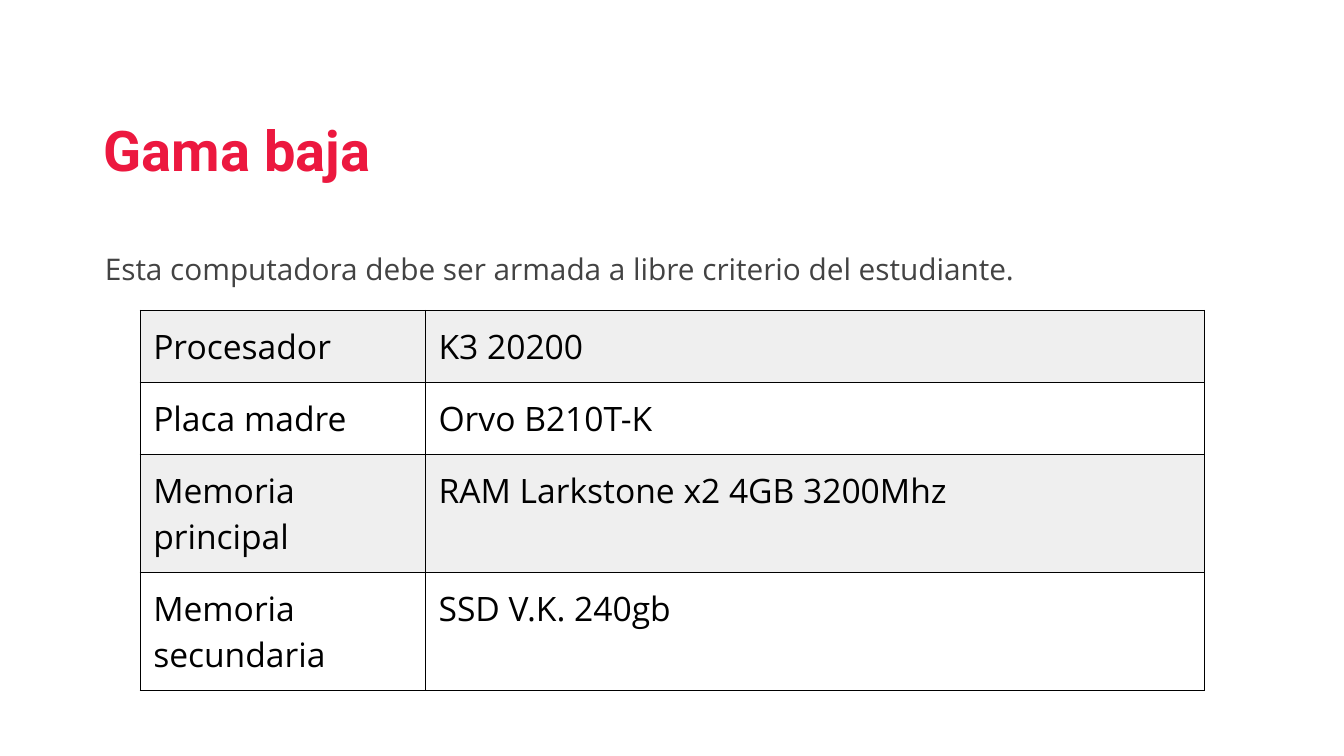
from lxml import etree
from pptx import Presentation
from pptx.dml.color import RGBColor
from pptx.enum import text
from pptx.oxml import ns
from pptx.util import Inches, Pt

THEME = {
    "red": "EC183F", "gray": "434343", "black": "000000", "band": "EFEFEF",
    "heading_font": "Roboto", "body_font": "Open Sans",
    "heading_size": 40, "intro_size": 21.3, "cell_size": 24, "border_size": 1,
}


def style(paragraph, font, size, color, bold=False):
    paragraph.font.name = THEME[font]
    paragraph.font.size = Pt(THEME[size])
    paragraph.font.color.rgb = RGBColor.from_string(THEME[color])
    paragraph.font.bold = bold


def set_margins(holder, horizontal, vertical):
    holder.margin_left = holder.margin_right = Inches(horizontal)
    holder.margin_top = holder.margin_bottom = Inches(vertical)


deck = Presentation()
deck.slide_width, deck.slide_height = Inches(13.33), Inches(7.5)
slide = deck.slides.add_slide(deck.slide_layouts[5])

heading = slide.shapes.title
heading.left, heading.top = Inches(0.91), Inches(0.9)
heading.width, heading.height = Inches(11.2), Inches(1.25)
heading_frame = heading.text_frame
heading_frame.text = "Gama baja"
heading_frame.word_wrap = True
heading_frame.auto_size = text.MSO_AUTO_SIZE.NONE
heading_frame.vertical_anchor = text.MSO_ANCHOR.MIDDLE
set_margins(heading_frame, 0.12, 0.06)
heading_line = heading_frame.paragraphs[0]
heading_line.alignment = text.PP_ALIGN.LEFT
heading_line.line_spacing = 0.9
style(heading_line, "heading_font", "heading_size", "red", bold=True)

components = [
    ("Procesador", "K3 20200"),
    ("Placa madre", "Orvo B210T-K"),
    ("Memoria principal", "RAM Larkstone x2 4GB 3200Mhz"),
    ("Memoria secundaria", "SSD V.K. 240gb"),
]
column_widths = [2.83, 7.73]
row_heights = [0.67, 0.67, 1.07, 1.07]
parts = slide.shapes.add_table(
    len(components), len(column_widths), Inches(1.39), Inches(3.08),
    Inches(sum(column_widths)), Inches(sum(row_heights))).table
parts.first_row = parts.horz_banding = False
for column, width in zip(parts.columns, column_widths):
    column.width = Inches(width)

for row_index, (component, height) in enumerate(zip(components, row_heights)):
    parts.rows[row_index].height = Inches(height)
    for column_index, wording in enumerate(component):
        cell = parts.cell(row_index, column_index)
        cell.text = wording
        cell.vertical_anchor = text.MSO_ANCHOR.TOP
        set_margins(cell, 0.13, 0.13)
        style(cell.text_frame.paragraphs[0], "body_font", "cell_size", "black")
        if row_index % 2 == 0:
            cell.fill.solid()
            cell.fill.fore_color.rgb = RGBColor.from_string(THEME["band"])
        else:
            cell.fill.background()
        properties = cell._tc.get_or_add_tcPr()
        for position, side in enumerate(("lnL", "lnR", "lnT", "lnB")):
            border = etree.Element(ns.qn(f"a:{side}"), w=str(Pt(THEME["border_size"])))
            ink = etree.SubElement(border, ns.qn("a:solidFill"))
            etree.SubElement(ink, ns.qn("a:srgbClr"), val=THEME["black"])
            properties.insert(position, border)

intro = slide.shapes.add_textbox(Inches(0.91), Inches(2.24), Inches(11.77), Inches(0.4))
intro_frame = intro.text_frame
intro_frame.word_wrap = True
set_margins(intro_frame, 0.13, 0.07)
intro_line = intro_frame.paragraphs[0]
intro_line.text = "Esta computadora debe ser armada a libre criterio del estudiante."
intro_line.line_spacing = 1.5
style(intro_line, "body_font", "intro_size", "gray")

deck.save("out.pptx")
